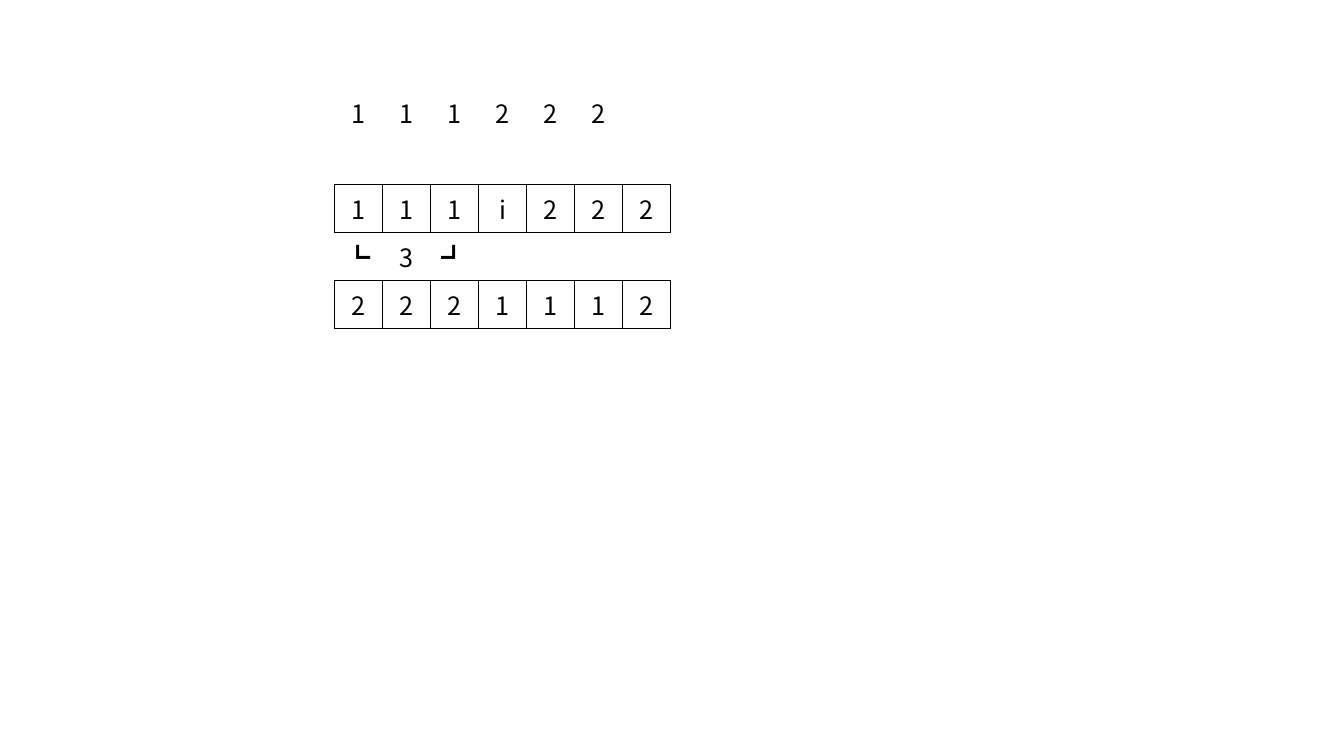
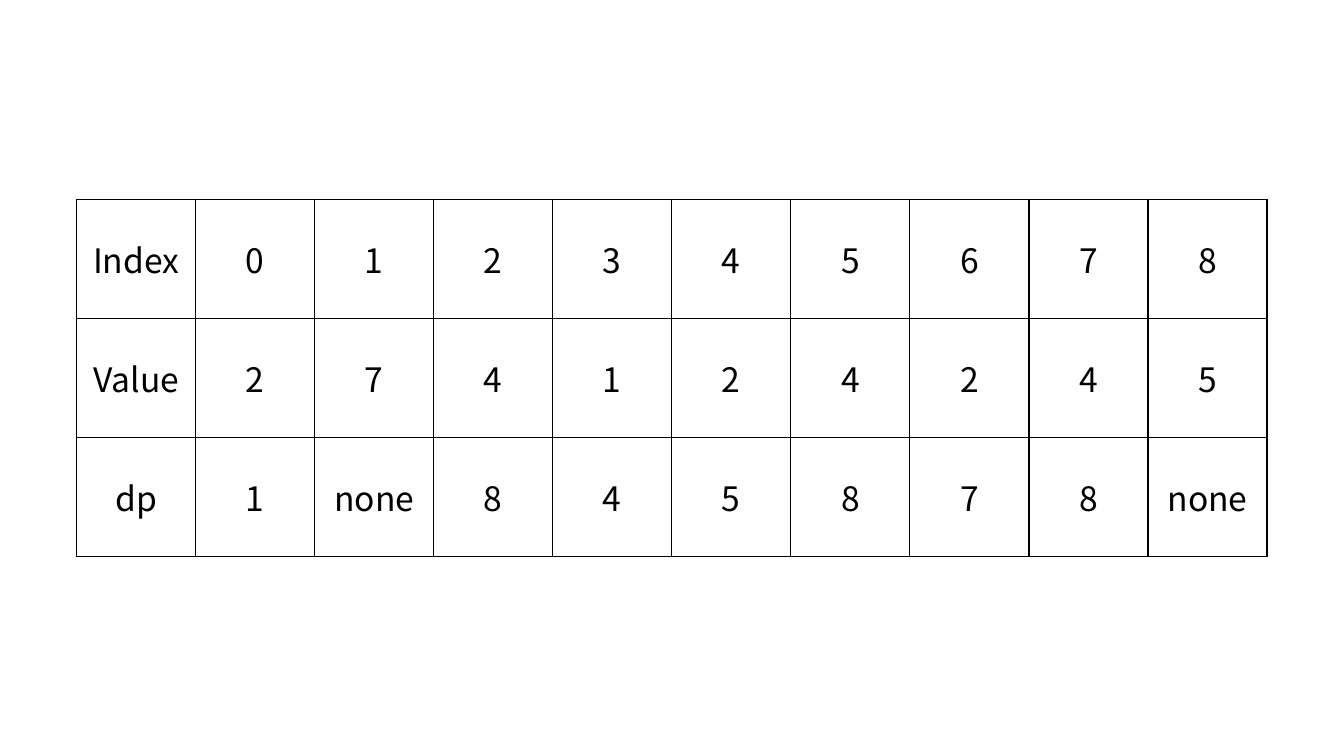
from dataclasses import dataclass

from lxml.etree import SubElement
from pptx import Presentation
from pptx.dml.color import RGBColor
from pptx.enum.text import MSO_ANCHOR as Anchor, PP_ALIGN as Align
from pptx.oxml.ns import qn
from pptx.util import Cm, Pt

FONT = "Noto Sans CJK KR"
INK = "000000"
EDGES = ("lnL", "lnR", "lnT", "lnB")


@dataclass(frozen=True)
class Grid:
    left: float  # cm
    top: float
    side: float
    size: int  # pt
    rows: list[list[str]]
    boxed: set[int]  # rows whose cells are framed


def rgb(value: str) -> RGBColor:
    return RGBColor.from_string(value)


def set_borders(cell, drawn: set[str]) -> None:
    """Draw the named edges and clear the others, ahead of the cell fill."""
    props = cell._tc.get_or_add_tcPr()
    for i, edge in enumerate(EDGES):
        line = SubElement(props, qn(f"a:{edge}"), w=str(Pt(1)))
        if edge in drawn:
            fill = SubElement(line, qn("a:solidFill"))
            SubElement(fill, qn("a:srgbClr"), val=INK)
        else:
            SubElement(line, qn("a:noFill"))
        props.insert(i, line)


def edges_of(row: int, boxed: set[int]) -> set[str]:
    """A framed row has all edges; its neighbours share the one they touch."""
    if row in boxed:
        return set(EDGES)
    drawn = set()
    if row - 1 in boxed:
        drawn.add("lnT")
    if row + 1 in boxed:
        drawn.add("lnB")
    return drawn


def write_cell(cell, text: str, size: int) -> None:
    cell.vertical_anchor = Anchor.MIDDLE
    p = cell.text_frame.paragraphs[0]
    p.alignment = Align.CENTER
    if not text:
        p.font.size = Pt(size)
        return
    r = p.add_run()
    r.text = text
    r.font.size = Pt(size)
    r.font.name = FONT
    r.font.color.rgb = rgb(INK)
    SubElement(r._r.get_or_add_rPr(), qn("a:ea"), typeface=FONT)


def add_grid(s, grid: Grid) -> None:
    n_rows, n_cols = len(grid.rows), len(grid.rows[0])
    side = Cm(grid.side)
    table = s.shapes.add_table(n_rows, n_cols, Cm(grid.left), Cm(grid.top),
                               side * n_cols, side * n_rows).table
    table.first_row = table.horz_banding = False
    for col in table.columns:
        col.width = side
    for i, texts in enumerate(grid.rows):
        table.rows[i].height = side
        for j, text in enumerate(texts):
            cell = table.cell(i, j)
            cell.fill.background()
            write_cell(cell, text, grid.size)
            set_borders(cell, edges_of(i, grid.boxed))


# Square cells; one character per cell, a space for an empty one
BLANK = " " * 7
SEQUENCES = [BLANK, "111222 ", BLANK, "111i222", "┗3┛    ", "2221112"] + [BLANK] * 5

GRIDS = [
    Grid(8.43, 1.02, 1.21, 18,
         [[char.strip() for char in line] for line in SEQUENCES], {3, 5}),
    Grid(1.93, 5.03, 3, 24,
         [["Index", *"012345678"],
          ["Value", *"274124245"],
          ["dp", "1", "none", *"845878", "none"]], {0, 1, 2}),
]


def main() -> None:
    prs = Presentation()
    prs.slide_width, prs.slide_height = Cm(33.87), Cm(19.05)
    for grid in GRIDS:
        add_grid(prs.slides.add_slide(prs.slide_layouts[6]), grid)
    prs.save("out.pptx")


if __name__ == "__main__":
    main()
